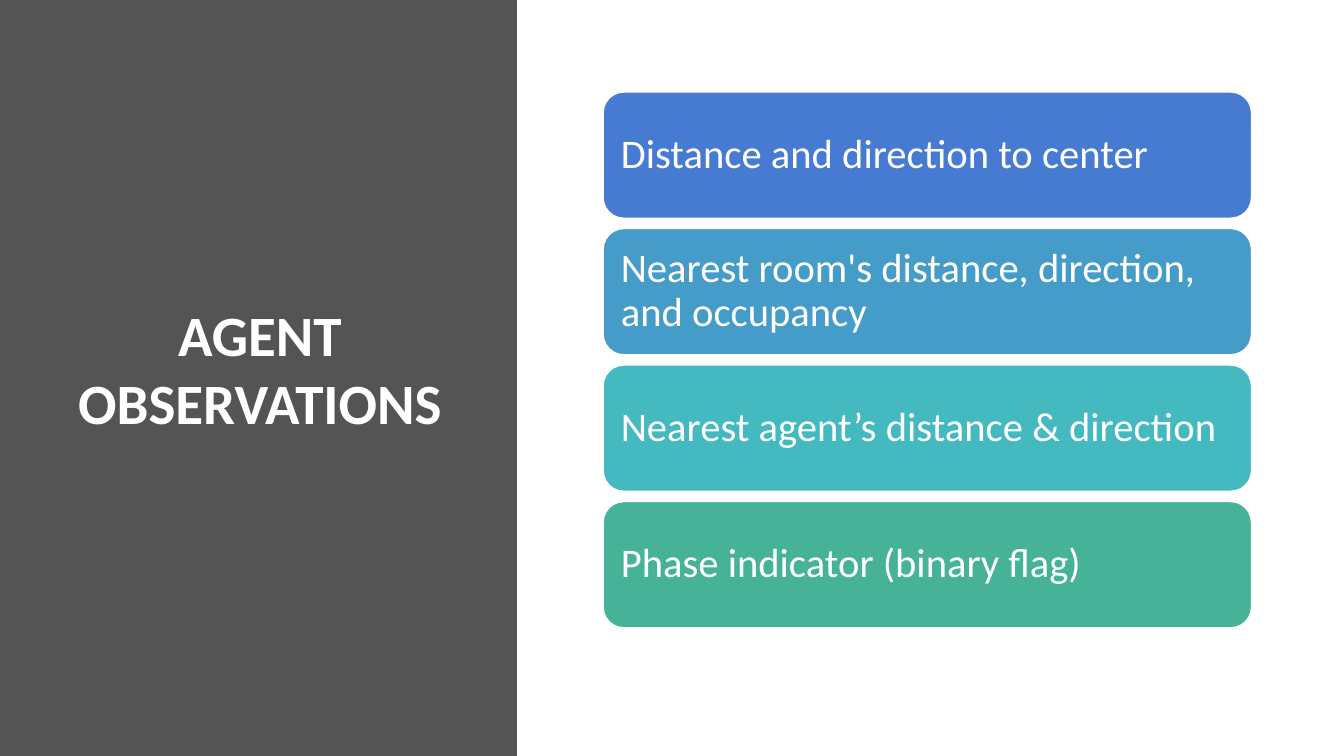
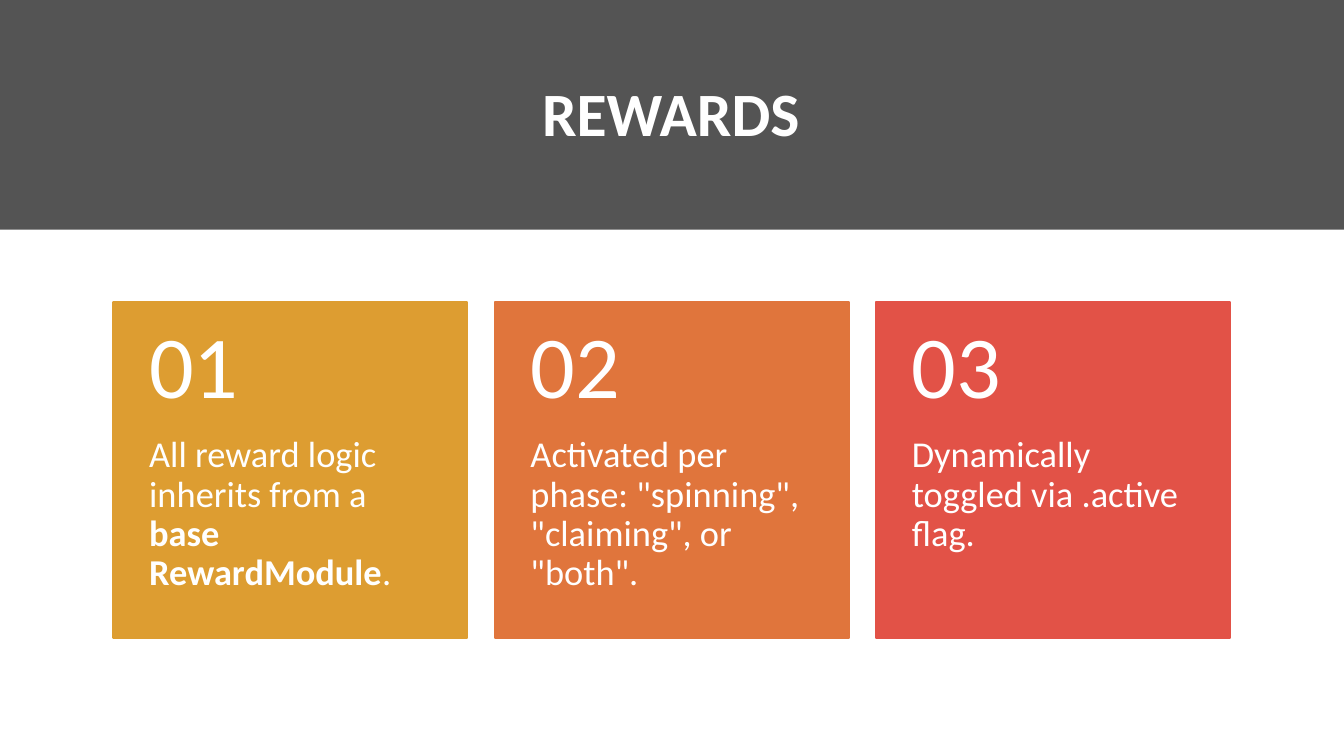
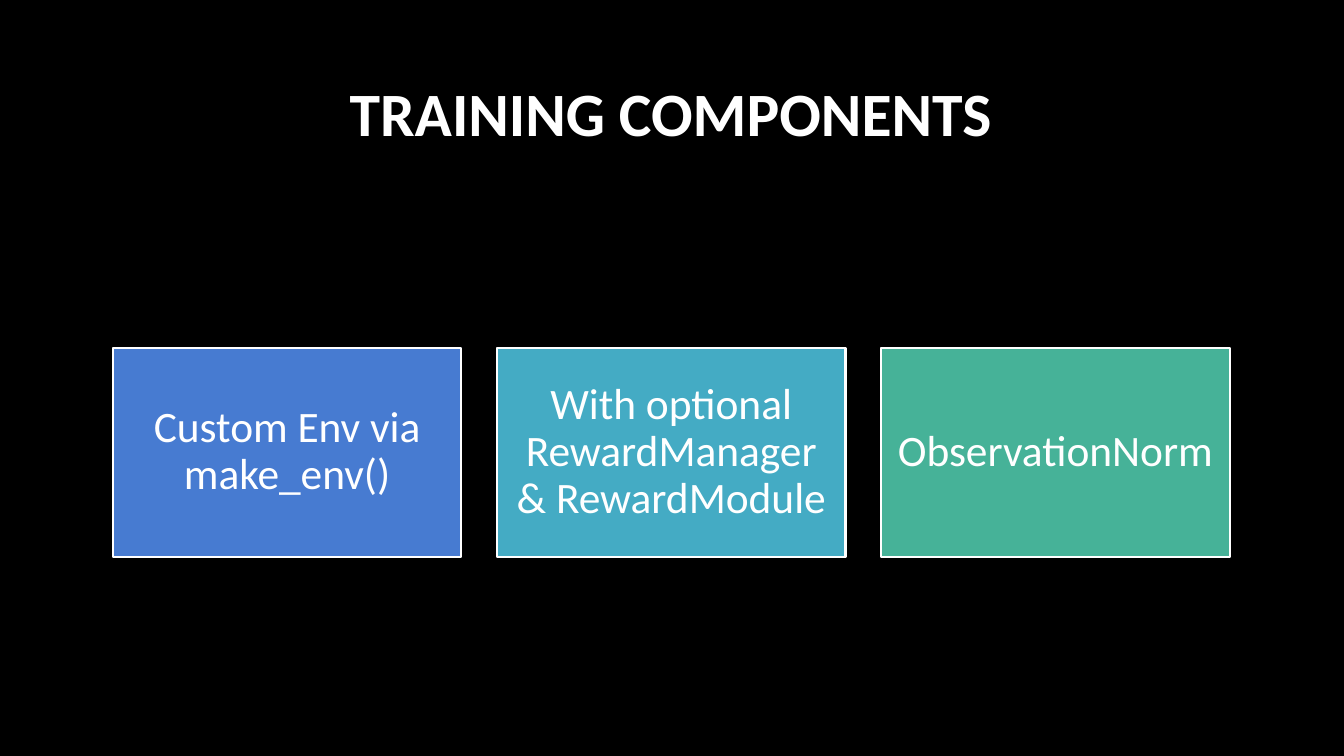
"""Builds three slides on agent observations, rewards and training components."""
from lxml.etree import SubElement
from pptx import Presentation
from pptx.dml.color import RGBColor
from pptx.enum.shapes import MSO_SHAPE
from pptx.enum.text import MSO_ANCHOR, PP_ALIGN
from pptx.oxml.ns import qn
from pptx.util import Cm, Pt

WHITE = RGBColor(0xFF, 0xFF, 0xFF)
BLACK = RGBColor(0x00, 0x00, 0x00)
BLUE = RGBColor(0x47, 0x7B, 0xD1)
SKY = RGBColor(0x45, 0x9C, 0xC8)
CYAN = RGBColor(0x44, 0xAB, 0xC4)
TURQUOISE = RGBColor(0x44, 0xB9, 0xBF)
GREEN = RGBColor(0x46, 0xB2, 0x98)
GOLD = RGBColor(0xDD, 0x9D, 0x31)
ORANGE = RGBColor(0xE0, 0x75, 0x3C)
RED = RGBColor(0xE2, 0x52, 0x47)

FONT = "Calibri"
BAND_OPACITY = 67
SLIDE_WIDTH, SLIDE_HEIGHT = 33.87, 19.05
SIDE_BAND = (0, 0, 13.03, SLIDE_HEIGHT)
TOP_BAND = (0, 0, SLIDE_WIDTH, 5.79)
SIDE_TITLE = (1.19, 7.57, 10.72, 3.38)
TOP_TITLE = (2.84, 1.14, 28.14, 3.38)

OBSERVATIONS = [
    ("Distance and direction to center", BLUE),
    ("Nearest room's distance, direction, and occupancy", SKY),
    ("Nearest agent’s distance & direction", TURQUOISE),
    ("Phase indicator (binary flag)", GREEN),
]
REWARDS = [
    ("All reward logic inherits from a **base RewardModule**.", GOLD),
    ('Activated per phase: "spinning", "claiming", or "both".', ORANGE),
    ("Dynamically toggled via .active flag.", RED),
]
COMPONENTS = [
    ("Custom Env via make_env()", BLUE),
    ("With optional RewardManager & RewardModule", CYAN),
    ("ObservationNorm", GREEN),
]


def write(shape, text, *, size, bold=False, align=PP_ALIGN.LEFT,
          anchor=MSO_ANCHOR.MIDDLE, insets=(0.25, 0.13, 0.25, 0.13), spacing=0.9):
    """Fill a shape with one paragraph; text between double asterisks is bold."""
    frame = shape.text_frame
    frame.word_wrap = True
    frame.vertical_anchor = anchor
    frame.margin_left, frame.margin_top, frame.margin_right, frame.margin_bottom = map(Cm, insets)
    para = frame.paragraphs[0]
    para.alignment = align
    para.line_spacing = spacing
    for index, piece in enumerate(text.split("**")):
        span = para.add_run()
        span.text = piece
        span.font.name = FONT
        span.font.size = Pt(size)
        span.font.bold = bold or index % 2 == 1
        span.font.color.rgb = WHITE


def add_block(page, place, fill, line=None, kind=MSO_SHAPE.RECTANGLE):
    """Add a filled shape, outlined when a line colour is given."""
    block = page.shapes.add_shape(kind, *map(Cm, place))
    block.shadow.inherit = False
    block.fill.solid()
    block.fill.fore_color.rgb = fill
    if line is None:
        block.line.fill.background()
    else:
        block.line.color.rgb = line
        block.line.width = Pt(1.5)
    return block


def add_page(deck, title, band_place, title_place, *, size=44, background=WHITE):
    """Add a slide with its background, translucent band and title."""
    page = deck.slides.add_slide(deck.slide_layouts[6])
    page.background.fill.solid()
    page.background.fill.fore_color.rgb = background
    band = add_block(page, band_place, BLACK)
    colour = band.fill._xPr.find(qn("a:solidFill"))[0]
    SubElement(colour, qn("a:alpha"), val=str(BAND_OPACITY * 1000))
    box = page.shapes.add_textbox(*map(Cm, title_place))
    write(box, title, size=size, bold=True, align=PP_ALIGN.CENTER, spacing=1.0)
    return page


def add_observations(deck):
    """Add the slide with the stack of observations."""
    page = add_page(deck, "AGENT OBSERVATIONS", SIDE_BAND, SIDE_TITLE, size=40.7)
    left, top, width, height, pitch = 15.19, 2.31, 16.36, 3.2, 3.44
    for index, (text, colour) in enumerate(OBSERVATIONS):
        place = (left, top + index * pitch, width, height)
        row = add_block(page, place, colour, WHITE, MSO_SHAPE.ROUNDED_RECTANGLE)
        write(row, text, size=29, insets=(0.3,) * 4)


def add_rewards(deck):
    """Add the slide with the numbered reward cards."""
    page = add_page(deck, "REWARDS", TOP_BAND, TOP_TITLE)
    left, top, width, height, pitch = 2.86, 7.62, 8.92, 8.46, 9.61
    number_height = 3.38
    for index, (text, colour) in enumerate(REWARDS):
        x = left + index * pitch
        card = add_block(page, (x, top, width, height), colour, colour)
        write(card, text, size=26, anchor=MSO_ANCHOR.TOP,
              insets=(0.9, number_height, 0.9, 0.9))
        number = page.shapes.add_textbox(*map(Cm, (x, top, width, number_height)))
        write(number, f"{index + 1:02}", size=63, insets=(0.9, 0.45, 0.9, 0.45))


def add_components(deck):
    """Add the slide with the row of training components."""
    page = add_page(deck, "TRAINING COMPONENTS", TOP_BAND, TOP_TITLE, background=BLACK)
    left, top, width, height, pitch = 2.84, 8.76, 8.79, 5.28, 9.68
    for index, (text, colour) in enumerate(COMPONENTS):
        tile = add_block(page, (left + index * pitch, top, width, height), colour, WHITE)
        write(tile, text, size=31, align=PP_ALIGN.CENTER, insets=(0.33,) * 4)


def main():
    """Build and save the deck."""
    deck = Presentation()
    deck.slide_width, deck.slide_height = Cm(SLIDE_WIDTH), Cm(SLIDE_HEIGHT)
    add_observations(deck)
    add_rewards(deck)
    add_components(deck)
    deck.save("out.pptx")


if __name__ == "__main__":
    main()
